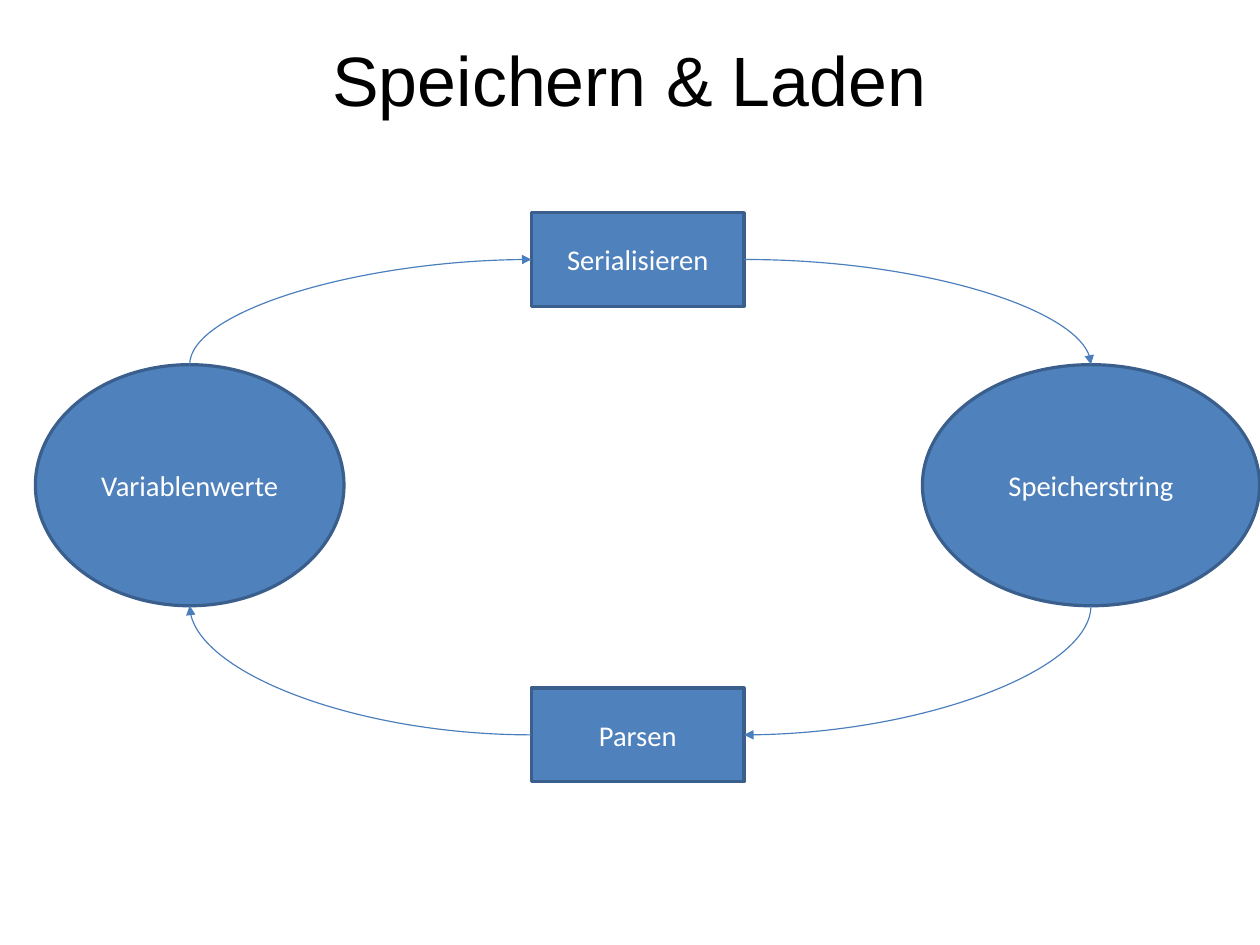
from dataclasses import dataclass

from lxml.etree import SubElement
from pptx import Presentation
from pptx.dml.color import RGBColor
from pptx.enum.shapes import MSO_CONNECTOR, MSO_SHAPE
from pptx.enum.text import MSO_ANCHOR, MSO_AUTO_SIZE, PP_ALIGN
from pptx.oxml.ns import qn
from pptx.util import Cm, Inches, Pt

PAGE_SIZE = (Cm(28), Cm(21))
TITLE = "Speichern & Laden"
TITLE_BOX = (0.55, 0, 9.92, 1.38)

# label: (outline, left, top, width, height)
NODES = {
    "Variablenwerte": (MSO_SHAPE.OVAL, 0.31, 3.19, 2.7, 2.11),
    "Serialisieren": (MSO_SHAPE.RECTANGLE, 4.65, 1.86, 1.86, 0.82),
    "Speicherstring": (MSO_SHAPE.OVAL, 8.07, 3.19, 2.95, 2.11),
    "Parsen": (MSO_SHAPE.RECTANGLE, 4.65, 6.02, 1.86, 0.82),
}
# step, state, end of the curve that carries the arrowhead
FLOWS = [
    ("Serialisieren", "Variablenwerte", "headEnd"),
    ("Serialisieren", "Speicherstring", "tailEnd"),
    ("Parsen", "Speicherstring", "headEnd"),
    ("Parsen", "Variablenwerte", "tailEnd"),
]


@dataclass(frozen=True)
class Theme:
    fill: RGBColor = RGBColor(0x4F, 0x81, 0xBD)
    border: RGBColor = RGBColor(0x3A, 0x5F, 0x8C)
    arrow: RGBColor = RGBColor(0x4B, 0x7E, 0xBC)
    title_text: RGBColor = RGBColor(0, 0, 0)
    node_text: RGBColor = RGBColor(0xFF, 0xFF, 0xFF)
    title_font: str = "Arial"
    node_font: str = "Calibri"
    title_size: Pt = Pt(44)
    node_size: Pt = Pt(18)
    border_width: Pt = Pt(2)
    arrow_width: Pt = Pt(0.75)


THEME = Theme()


def write(shape, text, name, size, color):
    frame = shape.text_frame
    frame.text = text
    frame.word_wrap = True
    frame.auto_size = MSO_AUTO_SIZE.NONE
    frame.vertical_anchor = MSO_ANCHOR.MIDDLE
    para = frame.paragraphs[0]
    para.alignment = PP_ALIGN.CENTER
    font = para.runs[0].font
    for key, value in {"name": name, "size": size}.items():
        setattr(font, key, value)
    font.color.rgb = color


def add_title(page):
    title = page.shapes.title
    for side, value in zip(("left", "top", "width", "height"), TITLE_BOX):
        setattr(title, side, Inches(value))
    write(title, TITLE, THEME.title_font, THEME.title_size, THEME.title_text)
    for side in ("left", "top", "right", "bottom"):
        setattr(title.text_frame, f"margin_{side}", 0)


def add_node(page, label, outline, *box):
    node = page.shapes.add_shape(outline, *map(Inches, box))
    node.shadow.inherit = False
    node.fill.solid()
    node.fill.fore_color.rgb = THEME.fill
    node.line.color.rgb = THEME.border
    node.line.width = THEME.border_width
    write(node, label, THEME.node_font, THEME.node_size, THEME.node_text)
    return node


def add_flow(page, step, state, arrow_end):
    """Curve from the near side of a step to the top or bottom of a state."""
    to_right = state.left > step.left
    below = state.top > step.top
    curve = page.shapes.add_connector(
        MSO_CONNECTOR.CURVE,
        step.left + step.width * to_right,
        step.top + step.height // 2,
        state.left + state.width // 2,
        state.top + state.height * (not below),
    )
    curve.line.color.rgb = THEME.arrow
    curve.line.width = THEME.arrow_width
    properties = curve.element.spPr
    properties.find(qn("a:prstGeom")).set("prst", "curvedConnector2")
    SubElement(properties.find(qn("a:ln")), qn(f"a:{arrow_end}"), type="triangle")
    SubElement(properties, qn("a:effectLst"))


def main():
    deck = Presentation()
    deck.slide_width, deck.slide_height = PAGE_SIZE
    page = deck.slides.add_slide(deck.slide_layouts[5])
    add_title(page)
    nodes = {label: add_node(page, label, *node) for label, node in NODES.items()}
    for step, state, arrow_end in FLOWS:
        add_flow(page, nodes[step], nodes[state], arrow_end)
    deck.save("out.pptx")


if __name__ == "__main__":
    main()
